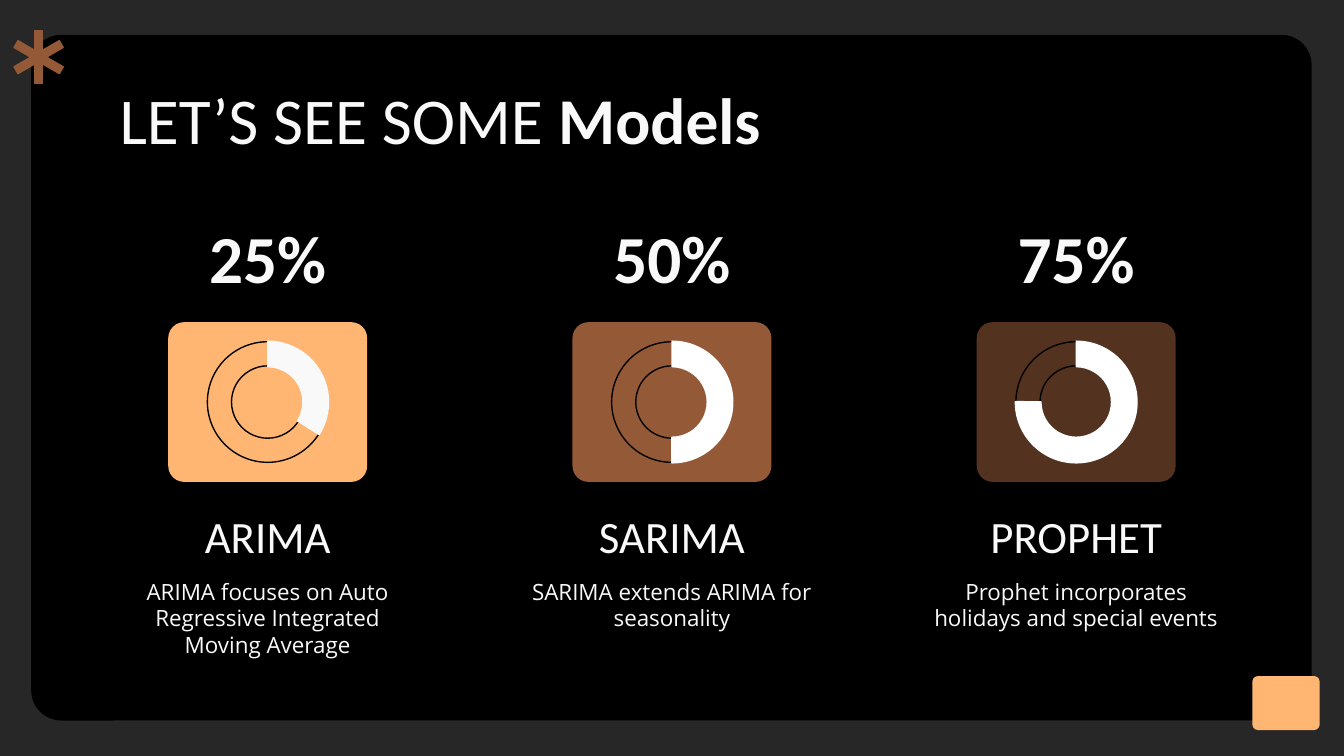
from dataclasses import dataclass

import pptx
import pptx.dml.color
import pptx.enum.shapes
import pptx.enum.text
import pptx.util

Cm = pptx.util.Cm
Pt = pptx.util.Pt
Shape = pptx.enum.shapes.MSO_SHAPE
Align = pptx.enum.text.PP_ALIGN
Anchor = pptx.enum.text.MSO_ANCHOR

LIGHT = "F9F9F9"
WHITE = "FFFFFF"
BLACK = "000000"
PEACH = "FFB673"
BROWN = "945937"
DARK_BROWN = "53321F"

FIRST_CENTRE = 5.06
COLUMN_PITCH = 7.64
RING_CENTRE = 7.6
TEXT_WIDTH = 6.12


@dataclass(frozen=True)
class Frame:
    left: float
    top: float
    width: float
    height: float


@dataclass(frozen=True)
class Span:
    text: str
    size: float
    font: str = "Calibri"
    bold: bool = False


@dataclass(frozen=True)
class Model:
    name: str
    share: str
    summary: str
    card_colour: str
    arc_colour: str
    arc_end: float


MODELS = [
    Model("ARIMA", "25%", "ARIMA focuses on Auto Regressive Integrated Moving Average",
          PEACH, LIGHT, 32.34),
    Model("SARIMA", "50%", "SARIMA extends ARIMA for seasonality",
          BROWN, WHITE, 90.15),
    Model("PROPHET", "75%", "Prophet incorporates holidays and special events",
          DARK_BROWN, WHITE, 180.36),
]


def colour(value: str) -> pptx.dml.color.RGBColor:
    return pptx.dml.color.RGBColor.from_string(value)


def centred(centre_x: float, centre_y: float, width: float, height: float) -> Frame:
    return Frame(centre_x - width / 2, centre_y - height / 2, width, height)


def add_shape(page, kind, frame: Frame, fill: str | None = None, line: str | None = None,
              adjustments: tuple[float, ...] = (), rotation: float = 0):
    shape = page.shapes.add_shape(
        kind, Cm(frame.left), Cm(frame.top), Cm(frame.width), Cm(frame.height))
    shape.shadow.inherit = False
    shape.rotation = rotation
    for index, value in enumerate(adjustments):
        shape.adjustments[index] = value
    if fill:
        shape.fill.solid()
        shape.fill.fore_color.rgb = colour(fill)
    else:
        shape.fill.background()
    if line:
        shape.line.color.rgb = colour(line)
        shape.line.width = Pt(0.75)
    else:
        shape.line.fill.background()
    return shape


def add_text(page, frame: Frame, spans: list[Span], align=Align.CENTER, anchor=Anchor.TOP):
    box = page.shapes.add_textbox(
        Cm(frame.left), Cm(frame.top), Cm(frame.width), Cm(frame.height))
    body = box.text_frame
    body.word_wrap = True
    body.vertical_anchor = anchor
    body.margin_left = body.margin_right = Cm(0.25)
    body.margin_top = body.margin_bottom = Cm(0.25)
    para = body.paragraphs[0]
    para.alignment = align
    for span in spans:
        run = para.add_run()
        run.text = span.text
        run.font.name = span.font
        run.font.size = Pt(span.size)
        run.font.bold = span.bold
        run.font.color.rgb = colour(LIGHT)
    return box


def add_backdrop(page) -> None:
    page.background.fill.solid()
    page.background.fill.fore_color.rgb = colour("272727")
    add_shape(page, Shape.ROUNDED_RECTANGLE, Frame(0.59, 0.66, 24.2, 12.96),
              BLACK, adjustments=(0.044,))
    add_shape(page, Shape.ROUNDED_RECTANGLE, Frame(23.67, 12.78, 1.27, 1.02),
              PEACH, adjustments=(0.1,))
    for angle in (0, 120, 240):
        add_shape(page, Shape.RECTANGLE, centred(0.73, 1.08, 0.15, 0.99),
                  BROWN, BROWN, rotation=angle)


def add_model(page, model: Model, centre: float) -> None:
    left = centre - TEXT_WIDTH / 2
    add_shape(page, Shape.ROUNDED_RECTANGLE, centred(centre, RING_CENTRE, 3.76, 3.02),
              model.card_colour, adjustments=(0.1,))
    add_shape(page, Shape.DONUT, centred(centre, RING_CENTRE, 2.28, 2.28),
              line=BLACK, adjustments=(0.2,))
    add_shape(page, Shape.BLOCK_ARC, centred(centre, RING_CENTRE, 2.3, 2.3),
              model.arc_colour, model.arc_colour,
              adjustments=(270.15 * 0.6, model.arc_end * 0.6, 0.21))
    add_text(page, Frame(left, 3.84, TEXT_WIDTH, 2.06), [Span(model.share, 36, bold=True)])
    add_text(page, Frame(left, 9.8, TEXT_WIDTH, 1.09), [Span(model.name, 24)],
             anchor=Anchor.BOTTOM)
    add_text(page, Frame(left, 10.67, TEXT_WIDTH, 1.35),
             [Span(model.summary, 12, "Open Sans")])


def main() -> None:
    deck = pptx.Presentation()
    deck.slide_width = Cm(25.4)
    deck.slide_height = Cm(14.29)
    page = deck.slides.add_slide(deck.slide_layouts[6])
    add_backdrop(page)
    add_text(page, Frame(2.01, 1.24, 21.41, 1.6),
             [Span("LET’S SEE SOME ", 35), Span("Models", 35, bold=True)], Align.LEFT)
    for index, model in enumerate(MODELS):
        add_model(page, model, FIRST_CENTRE + index * COLUMN_PITCH)
    deck.save("out.pptx")


if __name__ == "__main__":
    main()
